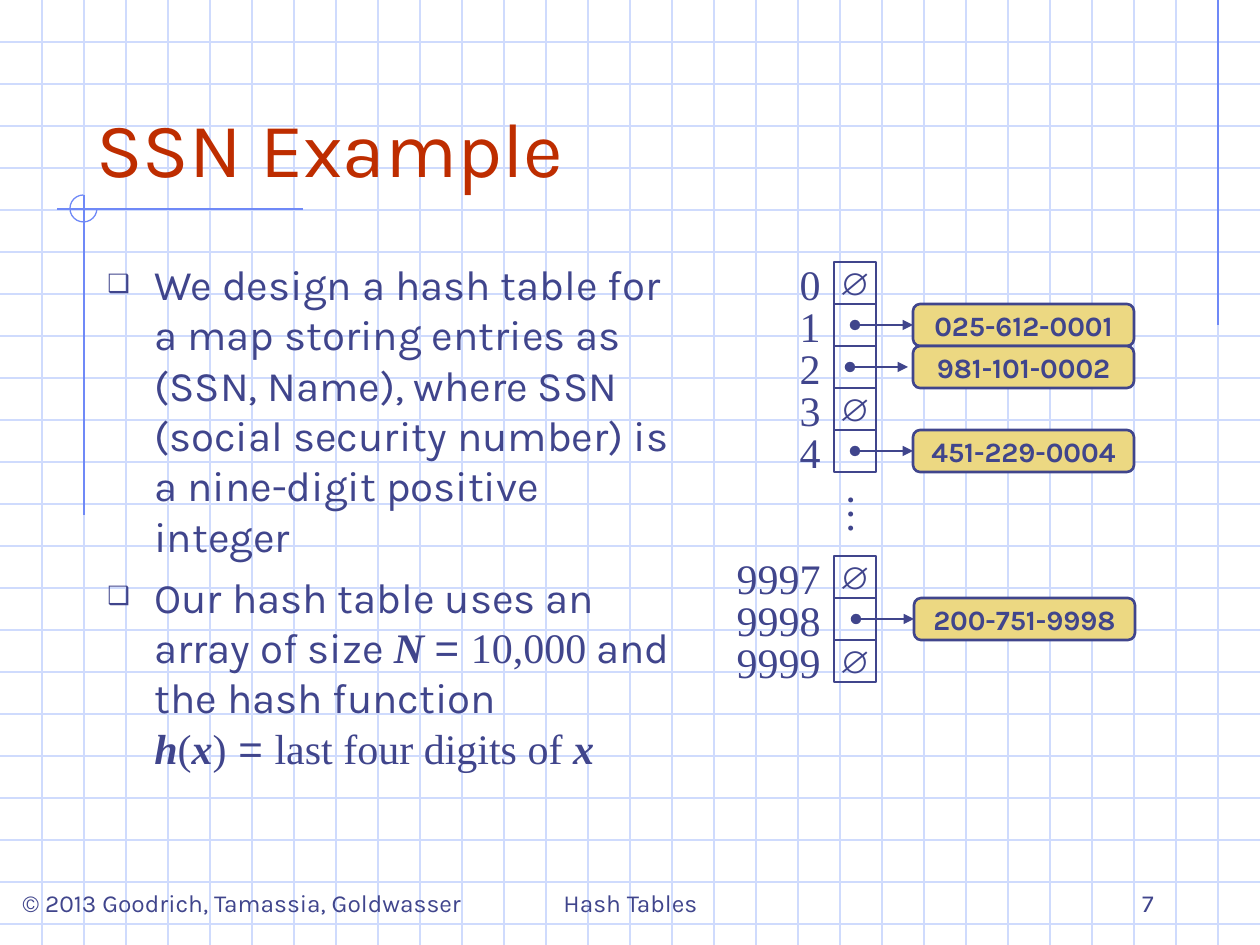
from lxml import etree
from pptx import Presentation
from pptx.dml.color import RGBColor
from pptx.enum.shapes import MSO_CONNECTOR, MSO_SHAPE
from pptx.enum.text import MSO_ANCHOR, PP_ALIGN
from pptx.oxml.ns import qn
from pptx.util import Pt

LINE = MSO_CONNECTOR.STRAIGHT
RECT, ROUND, ARC = MSO_SHAPE.RECTANGLE, MSO_SHAPE.ROUNDED_RECTANGLE, MSO_SHAPE.ARC
TOP, MID, LOW = MSO_ANCHOR.TOP, MSO_ANCHOR.MIDDLE, MSO_ANCHOR.BOTTOM
LEFT, MIDST, RIGHT = PP_ALIGN.LEFT, PP_ALIGN.CENTER, PP_ALIGN.RIGHT

WIDE, HIGH, STEP = 1260, 945, 42
SANS, SERIF, PLAIN = "Karla", "Times New Roman", "Arial"
COLORS = {"ink": "40458C", "title": "BE2D00", "grid": "CFDBFD",
          "trim": "6F89F7", "gold": "ECD882"}

# Content: a run is (text, font, bold italic)
TITLE = "SSN Example"
BODY = [
    [("We design a hash table for a map storing entries as (SSN, Name), "
      "where SSN (social security number) is a nine-digit positive integer",
      SANS, False)],
    [("Our hash table uses an array of size ", SANS, False),
     ("N ", SERIF, True), ("= ", PLAIN, False), ("10,000", SERIF, False),
     (" and the hash function", SANS, False), ("\n", SANS, False),
     ("h", SERIF, True), ("(", SERIF, False), ("x", SERIF, True),
     (")", SERIF, False), (" = ", PLAIN, False),
     ("last four digits of ", SERIF, False), ("x", SERIF, True)],
]
# Slot, index, entry, shift of entry box, shift of arrow
ROWS = [
    (0, "0", None, 0, 0),
    (1, "1", "025-612-0001", 0, 0),
    (2, "2", "981-101-0002", 0, -5),
    (3, "3", None, 0, 0),
    (4, "4", "451-229-0004", 0, 0),
    (7, "9997", None, 0, 0),
    (8, "9998", "200-751-9998", 1, 1),
    (9, "9999", None, 0, 0),
]
# Text, left, width, alignment
FOOTER = [
    ("© 2013 Goodrich, Tamassia, Goldwasser", 10, 494, LEFT),
    ("Hash Tables", 431, 399, MIDST),
    ("7", 903, 263, RIGHT),
]
TRIM = [(1218, 0, 1218, 325), (303, 209, 57, 209), (84, 195, 84, 515)]


def px(n):
    return round(n * 914400 / 126)


def rgb(name):
    return RGBColor.from_string(COLORS[name])


prs = Presentation()
prs.slide_width, prs.slide_height = px(WIDE), px(HIGH)
slide = prs.slides.add_slide(prs.slide_layouts[6])
shapes = slide.shapes


def put_text(shape, text, size=24, font=SANS, color="ink", bold=False,
             align=LEFT, anchor=TOP, wrap=True, bullet=False):
    """Fill a shape with a string or with a list of paragraphs of runs."""
    frame = shape.text_frame
    frame.word_wrap, frame.vertical_anchor = wrap, anchor
    paras = [[(text, font, False)]] if isinstance(text, str) else text
    for i, runs in enumerate(paras):
        para = frame.add_paragraph() if i else frame.paragraphs[0]
        if bullet:
            add_bullet(para)
        para.alignment = align
        para.space_before = Pt(6 if i else 0)
        for words, face, slant in runs:
            if words == "\n":
                para.add_line_break()
                continue
            run = para.add_run()
            run.text = words
            run.font.name, run.font.size = face, Pt(size)
            run.font.bold, run.font.italic = bold or slant, slant
            run.font.color.rgb = rgb(color)


def add_bullet(para):
    props = para._p.get_or_add_pPr()
    props.set("marL", str(px(47)))
    props.set("indent", str(px(-47)))
    tint = etree.SubElement(props, qn("a:buClr"))
    etree.SubElement(tint, qn("a:srgbClr"), val=COLORS["ink"])
    etree.SubElement(props, qn("a:buSzPct"), val="60000")
    etree.SubElement(props, qn("a:buFont"), typeface=PLAIN)
    etree.SubElement(props, qn("a:buChar"), char="❑")


def add_text(x, y, w, h, text, **form):
    box = shapes.add_textbox(px(x), px(y), px(w), px(h))
    put_text(box, text, **form)
    return box


def add_box(kind, x, y, w, h, line="ink", width=1.5, fill=None):
    box = shapes.add_shape(kind, px(x), px(y), px(w), px(h))
    box.shadow.inherit = False
    box.line.color.rgb, box.line.width = rgb(line), Pt(width)
    if fill:
        box.fill.solid()
        box.fill.fore_color.rgb = rgb(fill)
    else:
        box.fill.background()
    return box


def add_line(x1, y1, x2, y2, color, width=0.75, arrow=False):
    line = shapes.add_connector(LINE, px(x1), px(y1), px(x2), px(y2))
    line.line.color.rgb, line.line.width = rgb(color), Pt(width)
    if arrow:
        pen = line.line._get_or_add_ln()
        etree.SubElement(pen, qn("a:headEnd"), type="oval")
        etree.SubElement(pen, qn("a:tailEnd"), type="triangle")
    etree.SubElement(line._element.spPr, qn("a:effectLst"))
    return line


# Graph paper
for y in range(STEP, HIGH, STEP):
    add_line(0, y, WIDE, y, "grid")
for x in range(STEP, WIDE, STEP):
    add_line(x, 0, x, HIGH, "grid")

# Trim lines and three-quarter circle
for ends in TRIM:
    add_line(*ends, "trim")
ring = add_box(ARC, 70, 195, 27, 27, line="trim", width=0.75)
ring.adjustments[0], ring.adjustments[1] = 0, 162  # 270 degrees

# Title, body and footer
add_text(84, 42, 1103, 157, TITLE, size=44, color="title", anchor=LOW)
add_text(95, 252, 599, 609, BODY, bullet=True)
for text, x, w, align in FOOTER:
    add_text(x, 861, w, 63, text, size=14, align=align, anchor=LOW)

# Array cells with index, entry and arrow
for slot, index, entry, shift, move in ROWS:
    y = 262 + slot * STEP
    cell = add_box(RECT, 834, y, STEP, STEP)
    add_text(693, y - 10, 140, 63, index, font=SERIF, align=RIGHT)
    if not entry:
        put_text(cell, "∅", size=18, font=PLAIN, align=MIDST, anchor=MID,
                 wrap=False)
        continue
    box = add_box(ROUND, 913 + shift, y, 221, STEP, fill="gold")
    put_text(box, entry, size=16, bold=True, align=MIDST, anchor=MID,
             wrap=False)
    mid = y + STEP // 2
    arrow = add_line(855 + move, mid, 913 + move, mid, "ink", 1.5, True)
    if shift == move:
        arrow.end_connect(box, 1)

# Gap in the array
dots = add_text(832, 483, 67, 63, "…", font=SERIF, align=MIDST, wrap=False)
dots.rotation = 90

prs.save("out.pptx")
